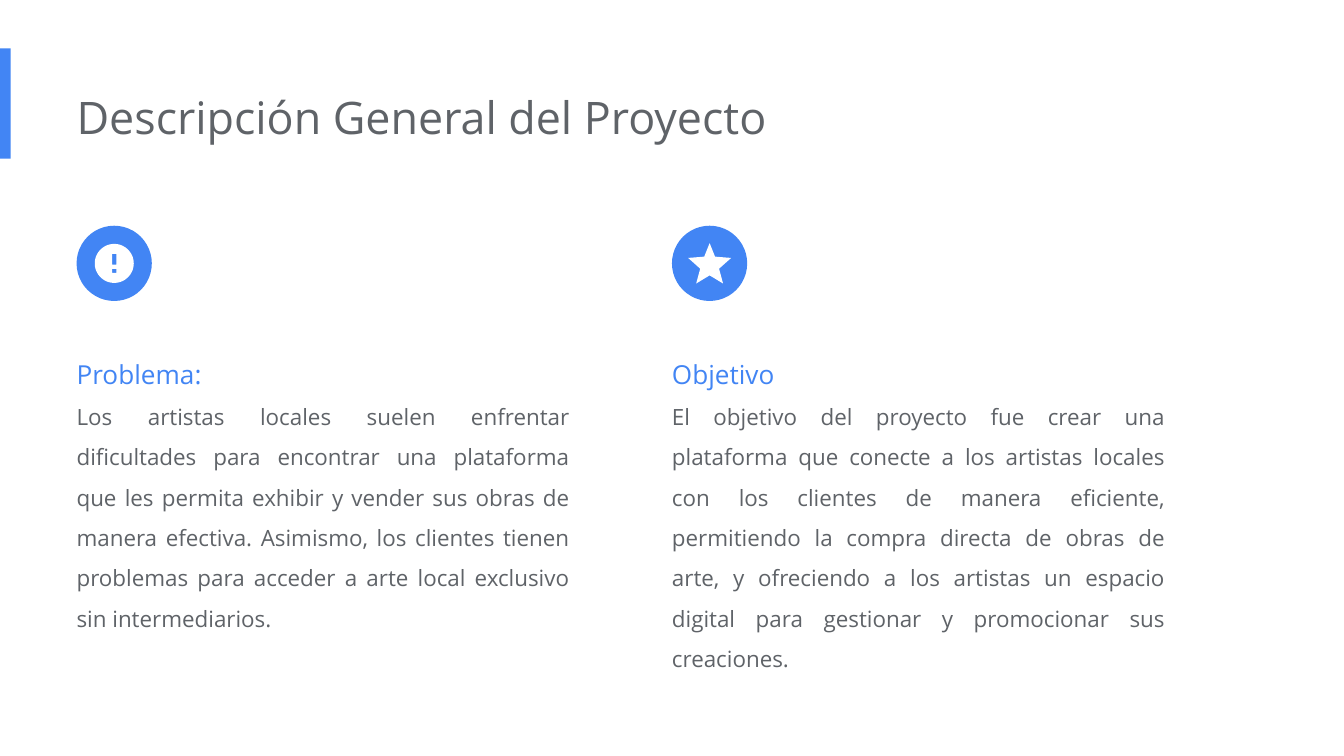
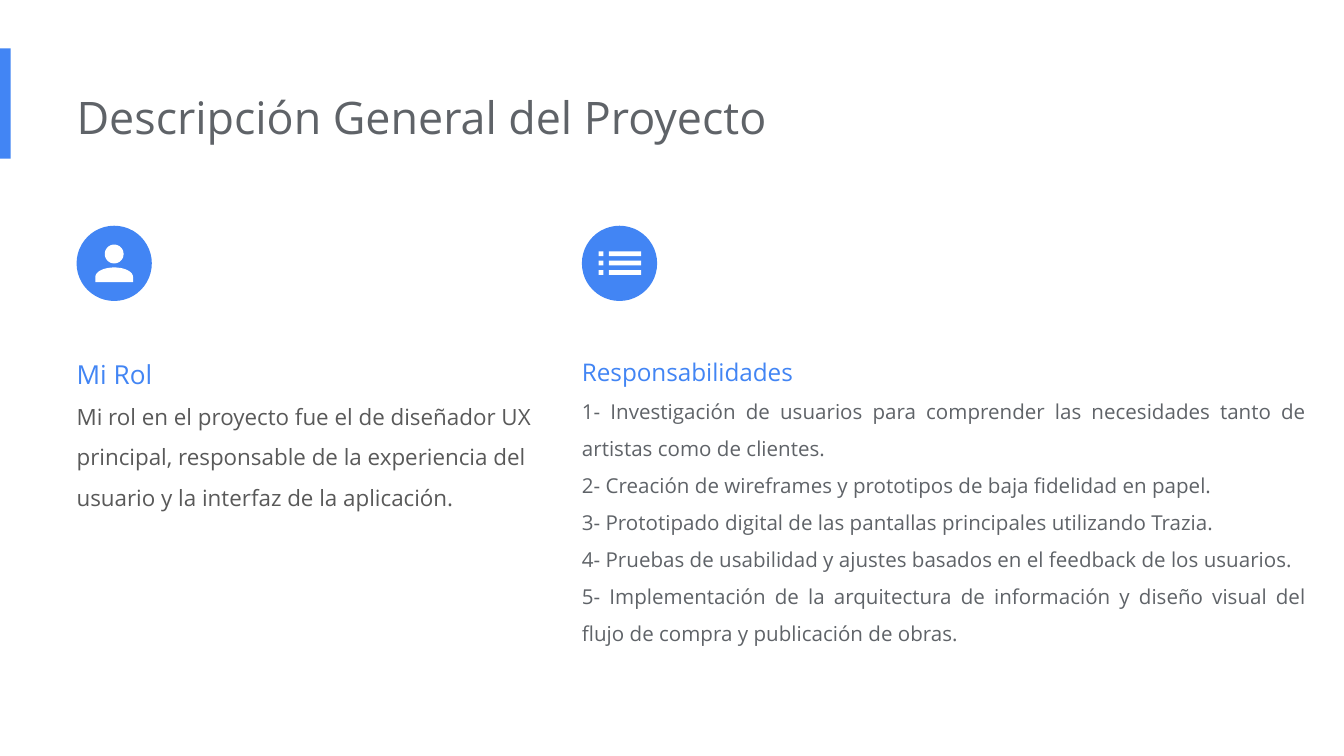
"""Build two project overview slides, each with two icon columns."""
import math

import pptx
import pptx.dml.color
import pptx.enum.shapes
import pptx.enum.text
import pptx.util

SCALE = 4572
FINE = 10
BLUE, GREY, DARK, WHITE = "4285F4", "5F6368", "595959", "FFFFFF"
FONT = "Open Sans"
TITLE = "Descripción General del Proyecto"
LEFT, ICON_TOP, TEXT_TOP, BADGE = 114, 336, 490, 112
SHAPES = pptx.enum.shapes.MSO_SHAPE
JUSTIFY = pptx.enum.text.PP_ALIGN.JUSTIFY


def px(n):
    """Turn px into EMU."""
    return pptx.util.Emu(round(n * SCALE))


def rgb(value):
    """Turn a hex string into a colour."""
    return pptx.dml.color.RGBColor.from_string(value)


def paint(sp, color):
    """Give a shape a flat fill with no line or shadow."""
    sp.shadow.inherit = False
    sp.fill.solid()
    sp.fill.fore_color.rgb = rgb(color)
    sp.line.fill.background()


def add_block(s, kind, left, top, width, height):
    """Add a blue preset shape."""
    sp = s.shapes.add_shape(kind, px(left), px(top), px(width), px(height))
    paint(sp, BLUE)


def add_text(s, left, top, width, height, paragraphs):
    """Add a text box from (text, size, colour, paragraph format) tuples."""
    tf = s.shapes.add_textbox(px(left), px(top), px(width), px(height)).text_frame
    frame = {
        "word_wrap": True,
        "auto_size": pptx.enum.text.MSO_AUTO_SIZE.SHAPE_TO_FIT_TEXT,
        "margin_left": 0,
        "margin_top": px(20),
        "margin_right": px(20),
        "margin_bottom": px(20),
    }
    for name, value in frame.items():
        setattr(tf, name, value)
    for i, (text, size, color, layout) in enumerate(paragraphs):
        p = tf.add_paragraph() if i else tf.paragraphs[0]
        for name, value in layout.items():
            setattr(p, name, value)
        r = p.add_run()
        r.text = text
        r.font.name = FONT
        r.font.size = pptx.util.Pt(size)
        r.font.color.rgb = rgb(color)


def arc(cx, cy, rx, ry, sweep=360):
    """Return points along an ellipse, clockwise from its left end."""
    angles = [math.radians(180 + a) for a in range(0, sweep + 1, 5)]
    return [(cx + rx * math.cos(a), cy + ry * math.sin(a)) for a in angles]


def box(left, top, width, height):
    """Return the corners of a rectangle."""
    right, bottom = left + width, top + height
    return [(left, top), (right, top), (right, bottom), (left, bottom)]


def alert_icon():
    """Return a disc with an exclamation mark cut out."""
    return [arc(56, 56, 29, 29), box(53, 42, 6, 16), box(53, 64, 6, 6)]


def star_icon():
    """Return a five-pointed star."""
    half = [(56, 26), (64, 46), (88, 48), (70, 64), (76, 86), (56, 74)]
    return [half + [(BADGE - x, y) for x, y in half[-2:0:-1]]]


def person_icon():
    """Return a head and shoulders."""
    return [arc(56, 42, 14, 14), arc(56, 76, 28, 14, 180) + [(84, 84), (28, 84)]]


def list_icon():
    """Return three bulleted rows."""
    return [box(x, 38 + 14 * row, width, 7)
            for row in range(3) for x, width in ((25, 7), (40, 48))]


def add_badge(s, left, contours):
    """Add a blue disc with a white icon on it."""
    add_block(s, SHAPES.OVAL, left, ICON_TOP, BADGE, BADGE)
    fine = [[(x * FINE, y * FINE) for x, y in points] for points in contours]
    fb = s.shapes.build_freeform(*fine[0][0], scale=SCALE / FINE)
    for i, points in enumerate(fine):
        if i:
            fb.move_to(*points[0])
        fb.add_line_segments(points[1:], close=True)
    paint(fb.convert_to_shape(px(left), px(ICON_TOP)), WHITE)


def add_column(s, left, width, height, icon, heading, body,
               size=12, color=GREY, align=JUSTIFY):
    """Add a badge with a heading and body paragraphs below it."""
    add_badge(s, left, icon)
    spaced = {"line_spacing": 1.5}
    paragraphs = [(heading, size + 2, BLUE, spaced)]
    paragraphs += [(text, size, color, {**spaced, "alignment": align}) for text in body]
    add_text(s, left, TEXT_TOP, width, height, paragraphs)


def add_slide(prs):
    """Add a slide with the side bar and title."""
    s = prs.slides.add_slide(prs.slide_layouts[6])
    add_block(s, SHAPES.RECTANGLE, 0, 72, 16, 164)
    add_text(s, LEFT, 114, 1346, 122, [(TITLE, 24, GREY, {})])
    return s


def main():
    """Build and save the presentation."""
    prs = pptx.Presentation()
    prs.slide_width, prs.slide_height = px(2000), px(1125)

    s = add_slide(prs)
    add_column(s, LEFT, 754, 454, alert_icon(), "Problema:", [
        "Los artistas locales suelen enfrentar dificultades para encontrar una "
        "plataforma que les permita exhibir y vender sus obras de manera efectiva. "
        "Asimismo, los clientes tienen problemas para acceder a arte local "
        "exclusivo sin intermediarios."])
    add_column(s, 1000, 754, 516, star_icon(), "Objetivo", [
        "El objetivo del proyecto fue crear una plataforma que conecte a los "
        "artistas locales con los clientes de manera eficiente, permitiendo la "
        "compra directa de obras de arte, y ofreciendo a los artistas un espacio "
        "digital para gestionar y promocionar sus creaciones."])

    s = add_slide(prs)
    add_column(s, LEFT, 754, 272, person_icon(), "Mi Rol", [
        "Mi rol en el proyecto fue el de diseñador UX principal, responsable de "
        "la experiencia del usuario y la interfaz de la aplicación."],
        color=DARK, align=None)
    add_column(s, 866, 1098, 532, list_icon(), "Responsabilidades", [
        "1- Investigación de usuarios para comprender las necesidades tanto de "
        "artistas como de clientes.",
        "2- Creación de wireframes y prototipos de baja fidelidad en papel.",
        "3- Prototipado digital de las pantallas principales utilizando Trazia.",
        "4- Pruebas de usabilidad y ajustes basados en el feedback de los usuarios.",
        "5- Implementación de la arquitectura de información y diseño visual del "
        "flujo de compra y publicación de obras."], size=11)

    prs.save("out.pptx")


if __name__ == "__main__":
    main()
